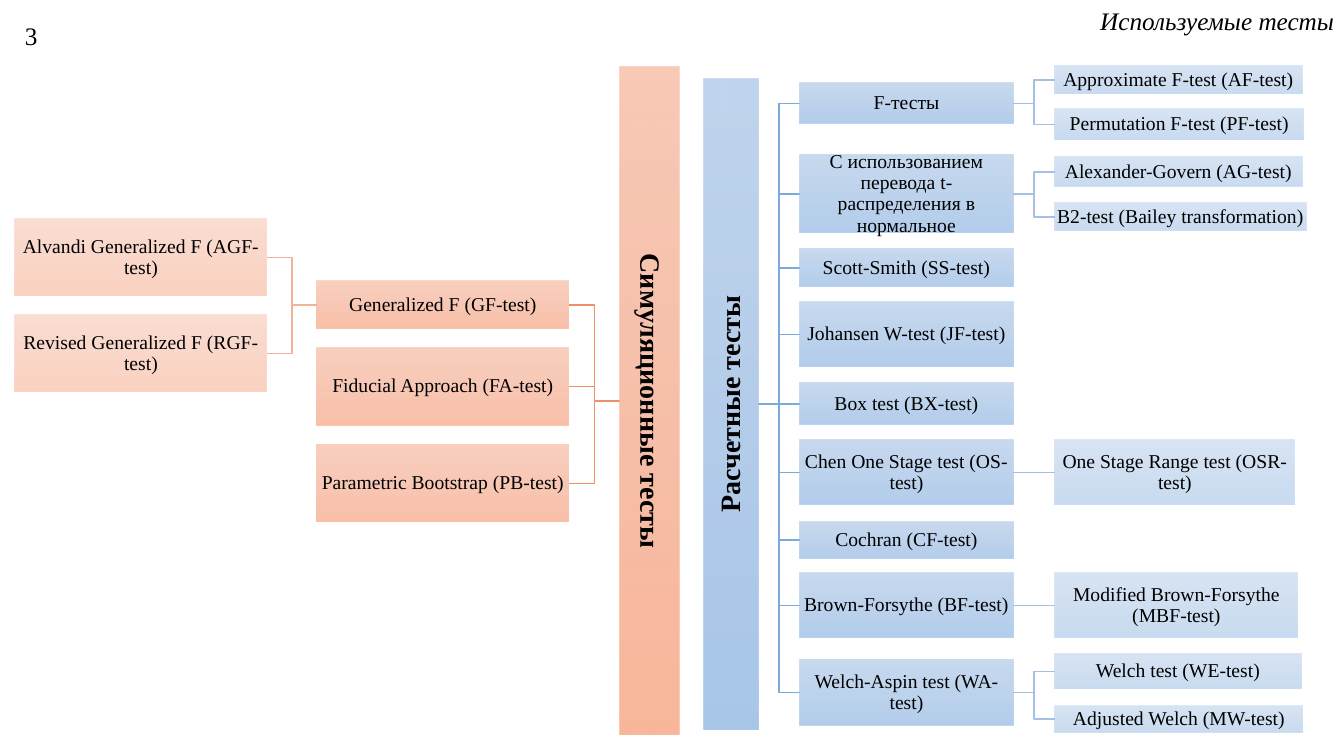
"""Build the slide with two trees of statistical tests."""
from lxml import etree
from pptx import Presentation
from pptx import util as u
from pptx.dml.color import RGBColor
from pptx.enum import shapes, text
from pptx.oxml.ns import nsdecls, qn

FONT = "Times New Roman"
COLORS = {"text": "000000"}
HEADINGS = [
    ("Используемые тесты", (0, 0, 1344, 40), text.PP_ALIGN.RIGHT, True, 1.0),
    ("3", (15, 0, 80, 51), text.PP_ALIGN.LEFT, False, 1.5),
]

# A node is (label, top, height, width, children).
CALCULATED = ("Расчетные тесты", 79, 650, 54, [
    ("F-тесты", 83, 41, 213, [
        ("Approximate F-test (AF-test)", 66, 28, 247, []),
        ("Permutation F-test (PF-test)", 109, 31, 249, [])]),
    ("С использованием перевода t-распределения в нормальное", 155, 78, 213, [
        ("Alexander-Govern (AG-test)", 157, 30, 247, []),
        ("B2-test (Bailey transformation)", 203, 28, 251, [])]),
    ("Scott-Smith (SS-test)", 249, 38, 213, []),
    ("Johansen W-test (JF-test)", 302, 65, 213, []),
    ("Box test (BX-test)", 383, 42, 213, []),
    ("Chen One Stage test (OS-test)", 440, 65, 213, [
        ("One Stage Range test (OSR-test)", 440, 65, 240, [])]),
    ("Cochran (CF-test)", 522, 36, 213, []),
    ("Brown-Forsythe (BF-test)", 573, 65, 213, [
        ("Modified Brown-Forsythe (MBF-test)", 573, 65, 243, [])]),
    ("Welch-Aspin test (WA-test)", 660, 65, 213, [
        ("Welch test (WE-test)", 654, 35, 246, []),
        ("Adjusted Welch (MW-test)", 706, 26, 248, [])]),
])
SIMULATED = ("Симуляционные тесты", 67, 668, 59, [
    ("Generalized F (GF-test)", 281, 48, 252, [
        ("Alvandi Generalized F (AGF-test)", 219, 77, 252, []),
        ("Revised Generalized F (RGF-test)", 315, 77, 252, [])]),
    ("Fiducial Approach (FA-test)", 348, 77, 252, []),
    ("Parametric Bootstrap (PB-test)", 445, 77, 252, []),
])
TREES = [
    {"root": CALCULATED, "lefts": (704, 800, 1055), "side": 1, "turn": 270,
     "fill": ("B1CBE9", "A3C1E5", "93B9E4"), "lines": ("7AA9DA", "A5C0E3")},
    {"root": SIMULATED, "lefts": (620, 317, 15), "side": -1, "turn": 90,
     "fill": ("F7BDA5", "F5B196", "F8A582"), "lines": ("EF9166", "F3B29A")},
]
OPACITY = (80, 70, 50)


def px(value):
    return u.Emu(round(value * 914400 / 100.8))


def write(box, label, size, align, spacing, bold=False, italic=False):
    frame = box.text_frame
    frame.word_wrap = True
    para = frame.paragraphs[0]
    para.text = label
    para.alignment, para.line_spacing = align, spacing
    font = para.font
    font.name, font.size, font.bold, font.italic = FONT, u.Pt(size), bold, italic
    font.color.rgb = RGBColor.from_string(COLORS["text"])
    return frame


def fill_gradient(box, colors, opacity):
    stops = "".join(
        f'<a:gs pos="{i * 50000}"><a:srgbClr val="{color}">'
        f'<a:alpha val="{opacity * 1000}"/></a:srgbClr></a:gs>'
        for i, color in enumerate(colors))
    gradient = etree.fromstring(
        f'<a:gradFill {nsdecls("a")} rotWithShape="0"><a:gsLst>{stops}</a:gsLst>'
        '<a:lin ang="5400000" scaled="0"/></a:gradFill>')
    box._element.spPr.find(qn("a:prstGeom")).addnext(gradient)


def add_box(page, tree, node, level):
    label, top, height, width, _ = node
    left, is_root = tree["lefts"][level], level == 0
    if is_root:
        left, top = left + (width - height) / 2, top + (height - width) / 2
        width, height = height, width
    box = page.shapes.add_shape(shapes.MSO_SHAPE.RECTANGLE,
                                *map(px, (left, top, width, height)))
    box.rotation = tree["turn"] if is_root else 0
    box.shadow.inherit = False
    box.line.fill.background()
    fill_gradient(box, tree["fill"], OPACITY[level])
    frame = write(box, label, 20 if is_root else 14, text.PP_ALIGN.CENTER, 0.9, is_root)
    frame.vertical_anchor = text.MSO_ANCHOR.MIDDLE
    frame.margin_left = frame.margin_right = px(1)
    frame.margin_top = frame.margin_bottom = px(1)


def add_link(page, tree, parent, child, level):
    near, far = tree["lefts"][level:level + 2]
    if tree["side"] > 0:
        near += parent[3]
    else:
        far += child[3]
    start, end = (node[1] + node[2] / 2 for node in (parent, child))
    kind = shapes.MSO_CONNECTOR.ELBOW
    if abs(start - end) < 2:
        kind, end = shapes.MSO_CONNECTOR.STRAIGHT, start
    link = page.shapes.add_connector(kind, *map(px, (near, start, far, end)))
    link.line.width = u.Pt(1)
    link.line.color.rgb = RGBColor.from_string(tree["lines"][level])
    etree.SubElement(link._element.spPr, qn("a:effectLst"))


def add_tree(page, tree, node, level=0):
    for child in node[4]:
        add_link(page, tree, node, child, level)
        add_tree(page, tree, child, level + 1)
    add_box(page, tree, node, level)


deck = Presentation()
deck.slide_width, deck.slide_height = px(1344), px(756)
page = deck.slides.add_slide(deck.slide_layouts[6])
for label, place, align, italic, spacing in HEADINGS:
    write(page.shapes.add_textbox(*map(px, place)), label, 18, align, spacing, italic=italic)
for tree in TREES:
    add_tree(page, tree, tree["root"])
deck.save("out.pptx")
